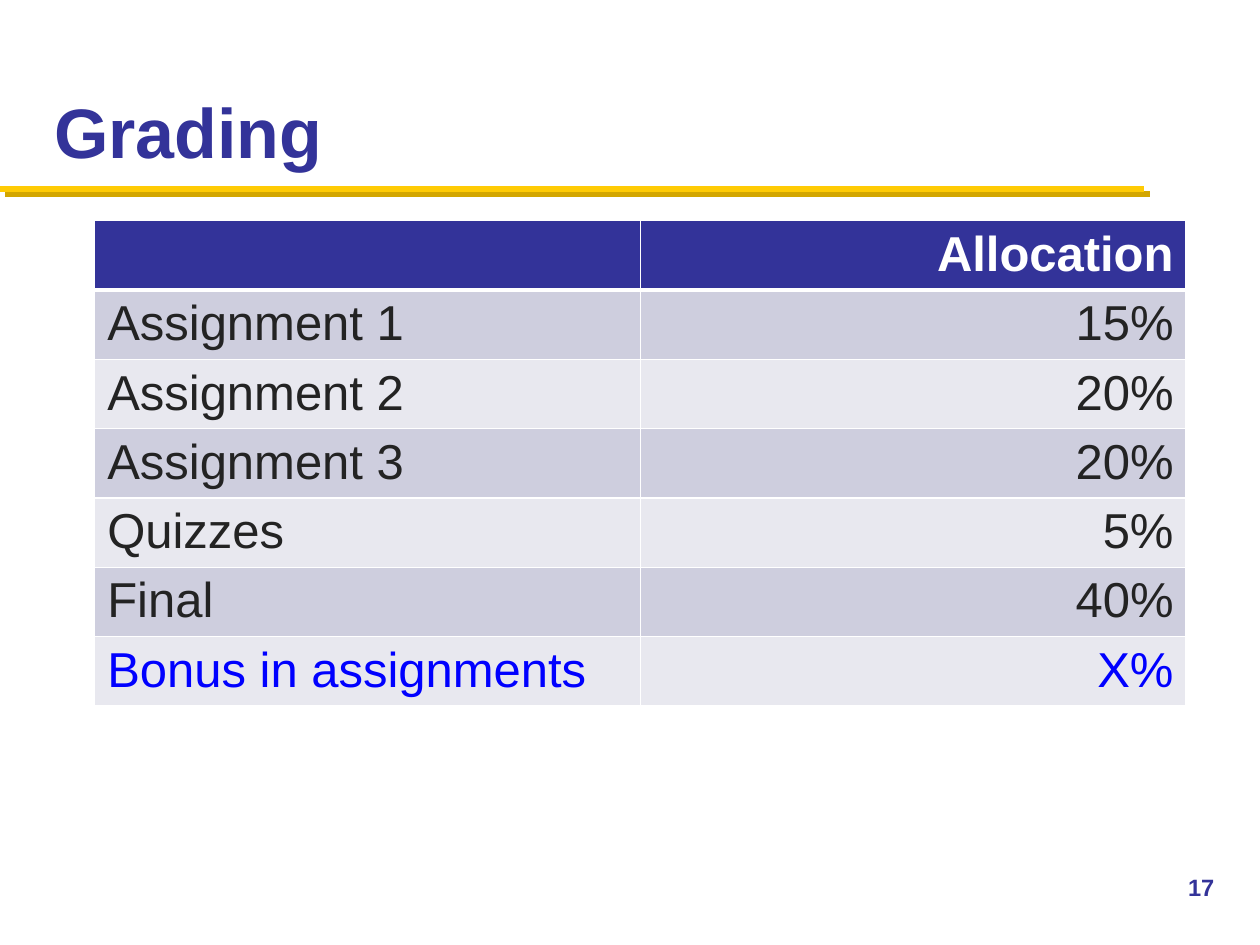
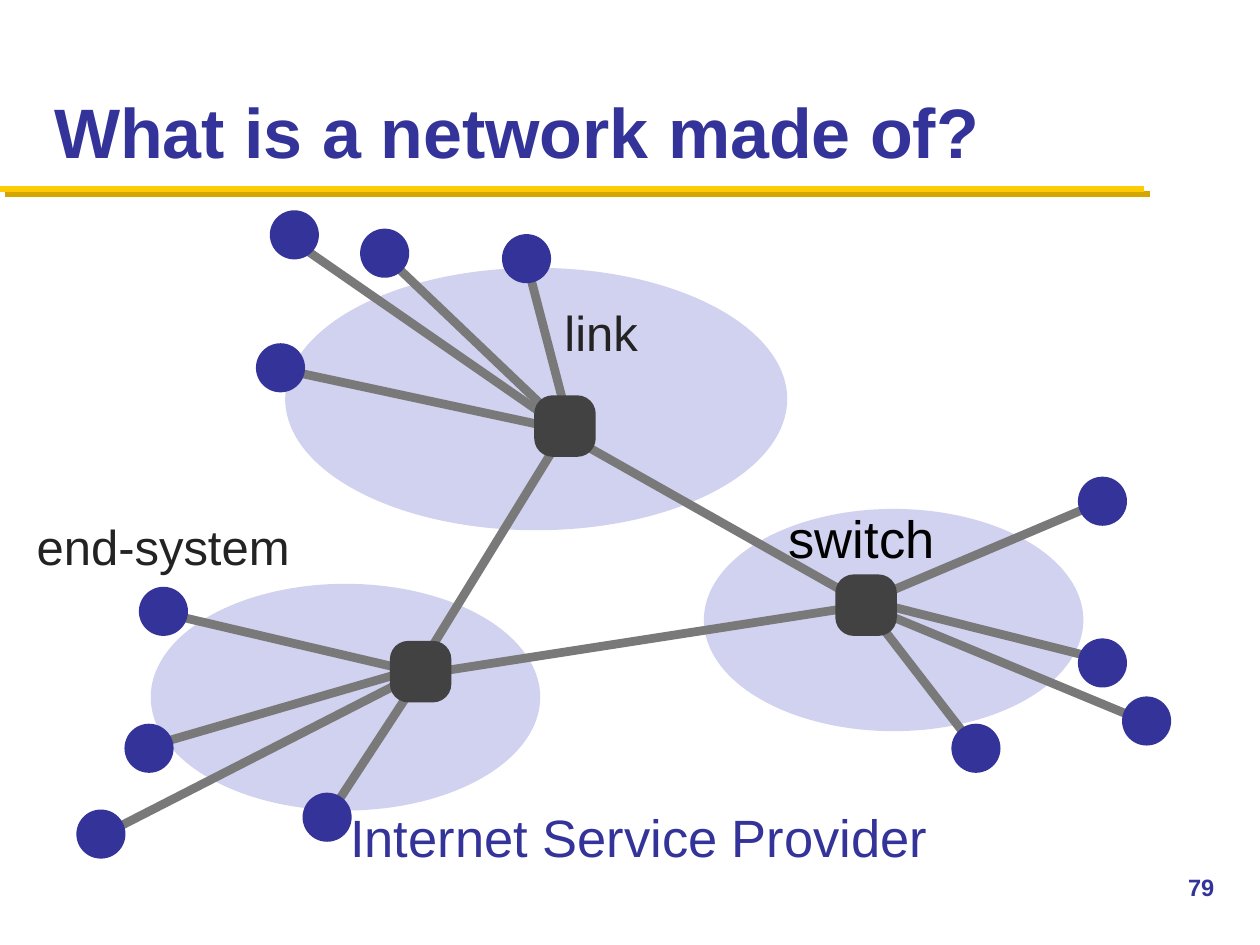
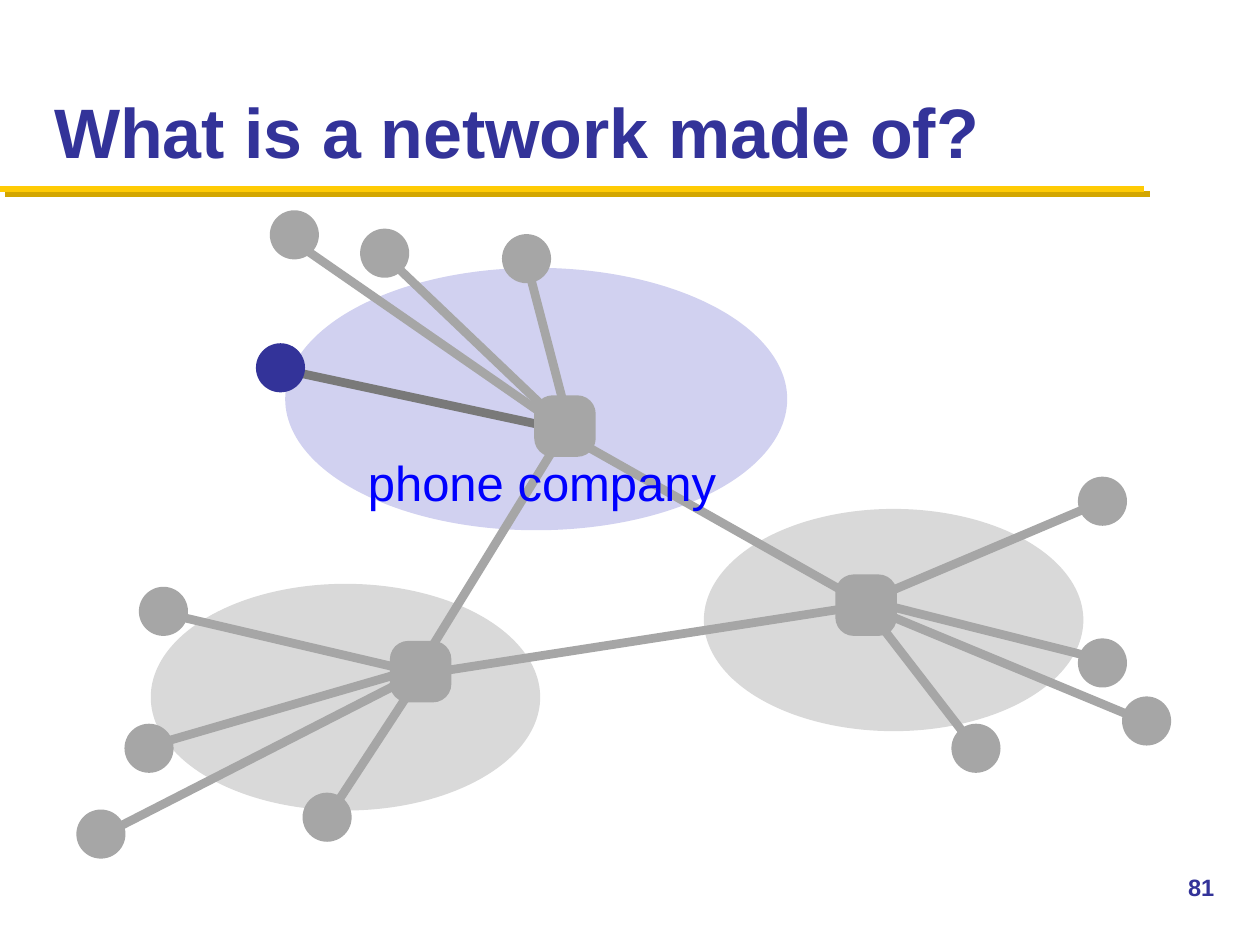
from lxml import etree
from pptx import Presentation
from pptx import util as u
from pptx.dml.color import RGBColor
from pptx.enum import shapes, text
from pptx.oxml import parse_xml
from pptx.oxml.ns import nsdecls, qn

NAVY = RGBColor(0x33, 0x33, 0x99)
GOLD = RGBColor(0xFF, 0xCB, 0x05)
WHITE = RGBColor(0xFF, 0xFF, 0xFF)
BLACK = RGBColor(0, 0, 0)
INK = RGBColor(0x23, 0x23, 0x23)
BLUE = RGBColor(0, 0, 0xFF)
ODD = RGBColor(0xCE, 0xCE, 0xDE)
EVEN = RGBColor(0xE8, 0xE8, 0xEF)
LILAC = RGBColor(0xD1, 0xD1, 0xF0)
WIRE = RGBColor(0x79, 0x79, 0x79)
DARK = RGBColor(0x42, 0x42, 0x42)
GREY = RGBColor(0xA6, 0xA6, 0xA6)
PALE = RGBColor(0xD9, 0xD9, 0xD9)
FONT = "Arial"

# Content: grading table
GRADES = [
    ("", "Allocation"),
    ("Assignment 1", "15%"),
    ("Assignment 2", "20%"),
    ("Assignment 3", "20%"),
    ("Quizzes", "5%"),
    ("Final", "40%"),
    ("Bonus in assignments", "X%"),
]

# Content: network, in cm; the first cloud and host belong to the phone company
NET = "What is a network made of?"
CLOUDS = [
    (5.75, 5.4, 10.12, 5.29),
    (14.19, 10.26, 7.65, 4.48),
    (3.04, 11.77, 7.85, 4.57),
]
HUBS = [(10.77, 7.97), (7.86, 12.92), (16.84, 11.58)]
TRUNKS = [
    (11.23, 8.66, 17.48, 12.19),
    (11.4, 8.66, 8.48, 13.41),
    (17.53, 12.19, 8.51, 13.59),
]
# Each host: left and top of its dot, then both ends of its link
HOSTS = [
    ((5.16, 6.92), (5.66, 7.44, 11.25, 8.64)),
    ((5.44, 4.24), (5.94, 4.88, 11.18, 8.51)),
    ((7.26, 4.61), (7.77, 5.16, 11.25, 8.48)),
    ((10.12, 4.72), (10.64, 5.38, 11.51, 8.71)),
    ((2.8, 11.83), (3.23, 12.34, 8.36, 13.54)),
    ((2.51, 14.59), (2.95, 15.06, 8.36, 13.49)),
    ((1.54, 16.32), (1.96, 16.89, 8.31, 13.64)),
    ((6.1, 15.98), (6.68, 16.36, 8.46, 13.64)),
    ((21.73, 9.61), (22.17, 10.13, 17.35, 12.17)),
    ((21.73, 12.87), (22.15, 13.28, 17.53, 12.12)),
    ((22.62, 14.04), (23.16, 14.58, 17.4, 12.19)),
    ((19.18, 14.59), (19.63, 15.04, 17.53, 12.32)),
]
DOT, HUB = 0.99, 1.24
LEFT, MID, RIGHT = (text.PP_ALIGN.LEFT, text.PP_ALIGN.CENTER,
                    text.PP_ALIGN.RIGHT)
PARTS = [
    ("link", (11.28, 5.99, 2, 1.4), 28, INK, LEFT),
    ("switch", (15.8, 10.11, 3.5, 1.47), 30, BLACK, LEFT),
    ("end-system", (0.64, 10.31, 5.79, 1.4), 28, INK, LEFT),
    ("Internet Service Provider", (6.96, 16.13, 12.22, 1.47), 30, NAVY, LEFT),
]
PHONE = [("phone company", (5.36, 9.02, 11.13, 1.4), 28, BLUE, MID)]

SHADE = (
    '<a:effectLst %s><a:outerShdw dist="53340" dir="2700000" algn="ctr" '
    'rotWithShape="0"><a:srgbClr val="D3A600"/></a:outerShdw></a:effectLst>'
    % nsdecls("a"))


def cm(*nums):
    return [u.Cm(n) for n in nums]


def write(frame, words, size, color, align=LEFT, bold=False):
    par = frame.paragraphs[0]
    par.text, par.alignment = words, align
    look = dict(name=FONT, size=u.Pt(size), bold=bold)
    for key, val in look.items():
        setattr(par.font, key, val)
    par.font.color.rgb = color


def label(slide, words, box, size, color, align=LEFT, bold=False,
          pad=0.1, anchor=text.MSO_ANCHOR.MIDDLE):
    frame = slide.shapes.add_textbox(*cm(*box)).text_frame
    frame.word_wrap = True
    frame.vertical_anchor = anchor
    for side in ("left", "top", "right", "bottom"):
        setattr(frame, "margin_" + side, u.Cm(pad))
    write(frame, words, size, color, align, bold)


def line(slide, ends, color, width):
    wire = slide.shapes.add_connector(
        shapes.MSO_CONNECTOR.STRAIGHT, *cm(*ends))
    wire.line.color.rgb = color
    wire.line.width = u.Pt(width)
    etree.SubElement(wire._element.spPr, qn("a:effectLst"))
    return wire


def solid(slide, kind, box, color):
    form = slide.shapes.add_shape(kind, *cm(*box))
    form.shadow.inherit = False
    form.fill.solid()
    form.fill.fore_color.rgb = color
    form.line.fill.background()
    return form


# Shared frame: gold band, title, page number
def page(deck, head, num):
    slide = deck.slides.add_slide(deck.slide_layouts[5])
    props = line(slide, (0, 3.81, 23.07, 3.81), GOLD, 3.5)._element.spPr
    props.replace(props.find(qn("a:effectLst")), parse_xml(SHADE))
    title = slide.shapes.title
    title.left, title.top, title.width, title.height = cm(
        0.84, 0.43, 23.7, 3.18)
    frame = title.text_frame
    frame.auto_size = text.MSO_AUTO_SIZE.NONE
    frame.vertical_anchor = text.MSO_ANCHOR.BOTTOM
    write(frame, head, 40, NAVY, bold=True)
    label(slide, str(num), (23.7, 17.35, 1.7, 1.27), 13.5, NAVY, bold=True,
          pad=0.25, anchor=text.MSO_ANCHOR.TOP)
    return slide


def edge(cell, tag, width):
    props = cell._tc.get_or_add_tcPr()
    props.append(parse_xml(
        '<a:%s %s w="%d"><a:solidFill><a:srgbClr val="%s"/></a:solidFill>'
        '</a:%s>' % (tag, nsdecls("a"), u.Pt(width), WHITE, tag)))


def grades(slide):
    high = 1.35
    grid = slide.shapes.add_table(
        len(GRADES), 2, *cm(1.91, 4.45, 22, high * len(GRADES))).table
    for row, words in enumerate(GRADES):
        grid.rows[row].height = u.Cm(high)
        top, last = row == 0, row == len(GRADES) - 1
        ink = WHITE if top else BLUE if last else INK
        for col, word in enumerate(words):
            cell = grid.cell(row, col)
            cell.margin_top, cell.margin_bottom = cm(0.13, 0.08)
            # Edges come before the fill in a cell's properties
            for tag in ("lnL", "lnR", "lnT", "lnB"):
                thick = (row, tag) in ((0, "lnB"), (1, "lnT"))
                edge(cell, tag, 3 if thick else 1)
            cell.fill.solid()
            cell.fill.fore_color.rgb = (
                NAVY if top else ODD if row % 2 else EVEN)
            write(cell.text_frame, word, 28, ink, RIGHT if col else LEFT, top)


def network(slide, labels, dim=False):
    kind = shapes.MSO_SHAPE

    def tone(full, faded, index=1):
        return faded if dim and index else full

    for i, box in enumerate(CLOUDS):
        solid(slide, kind.OVAL, box, tone(LILAC, PALE, i))
    for i, (_, ends) in enumerate(HOSTS):
        line(slide, ends, tone(WIRE, GREY, i), 5)
    for ends in TRUNKS:
        line(slide, ends, tone(WIRE, GREY), 5)
    for i, (spot, _) in enumerate(HOSTS):
        solid(slide, kind.OVAL, (*spot, DOT, DOT), tone(NAVY, GREY, i))
    for spot in HUBS:
        hub = solid(slide, kind.ROUNDED_RECTANGLE, (*spot, HUB, HUB),
                    tone(DARK, GREY))
        hub.adjustments[0] = 0.3
    for item in labels:
        label(slide, *item)


def main():
    deck = Presentation()
    deck.slide_width, deck.slide_height = cm(25.4, 19.05)
    grades(page(deck, "Grading", 17))
    network(page(deck, NET, 79), PARTS)
    network(page(deck, NET, 81), PHONE, dim=True)
    deck.save("out.pptx")


if __name__ == "__main__":
    main()
